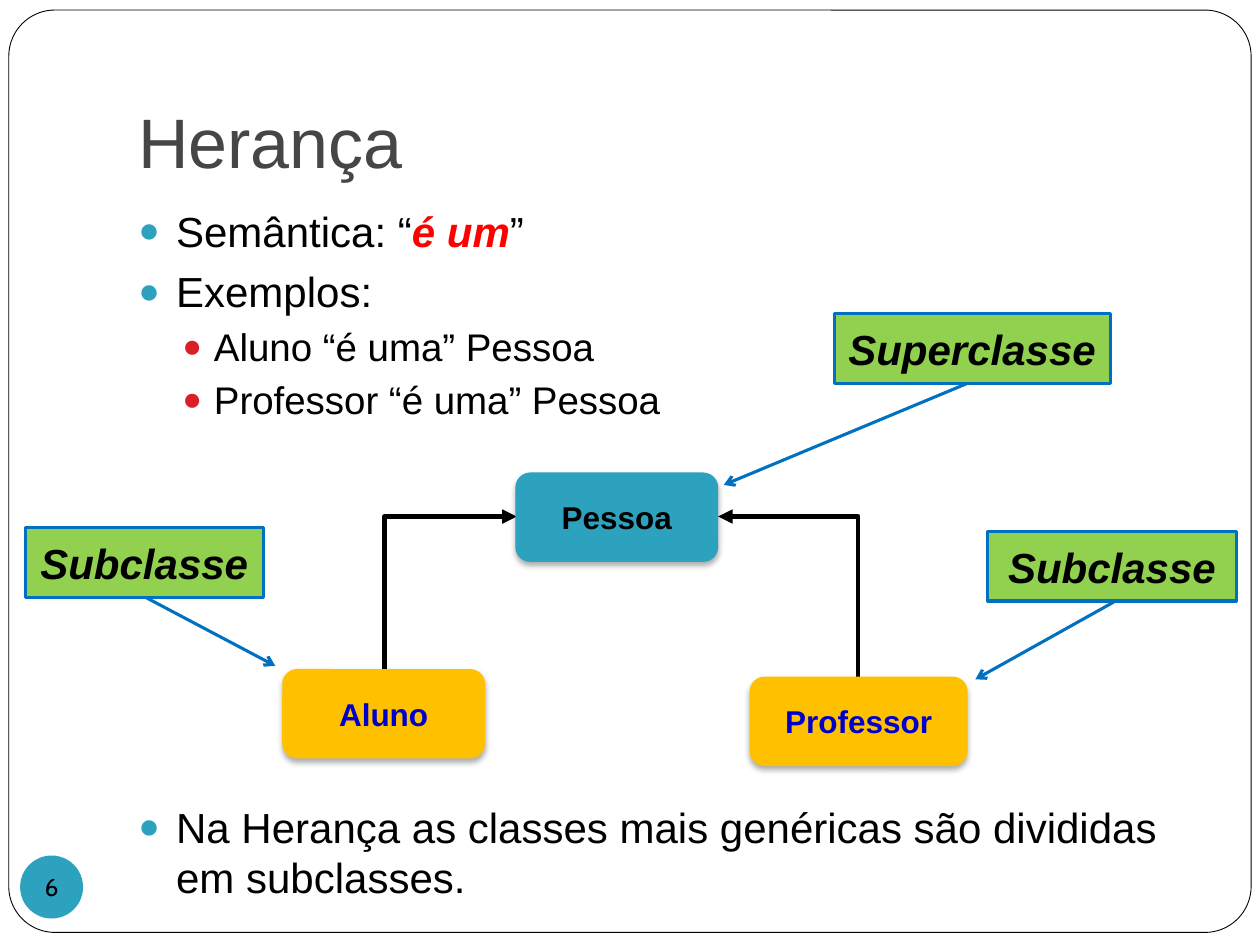
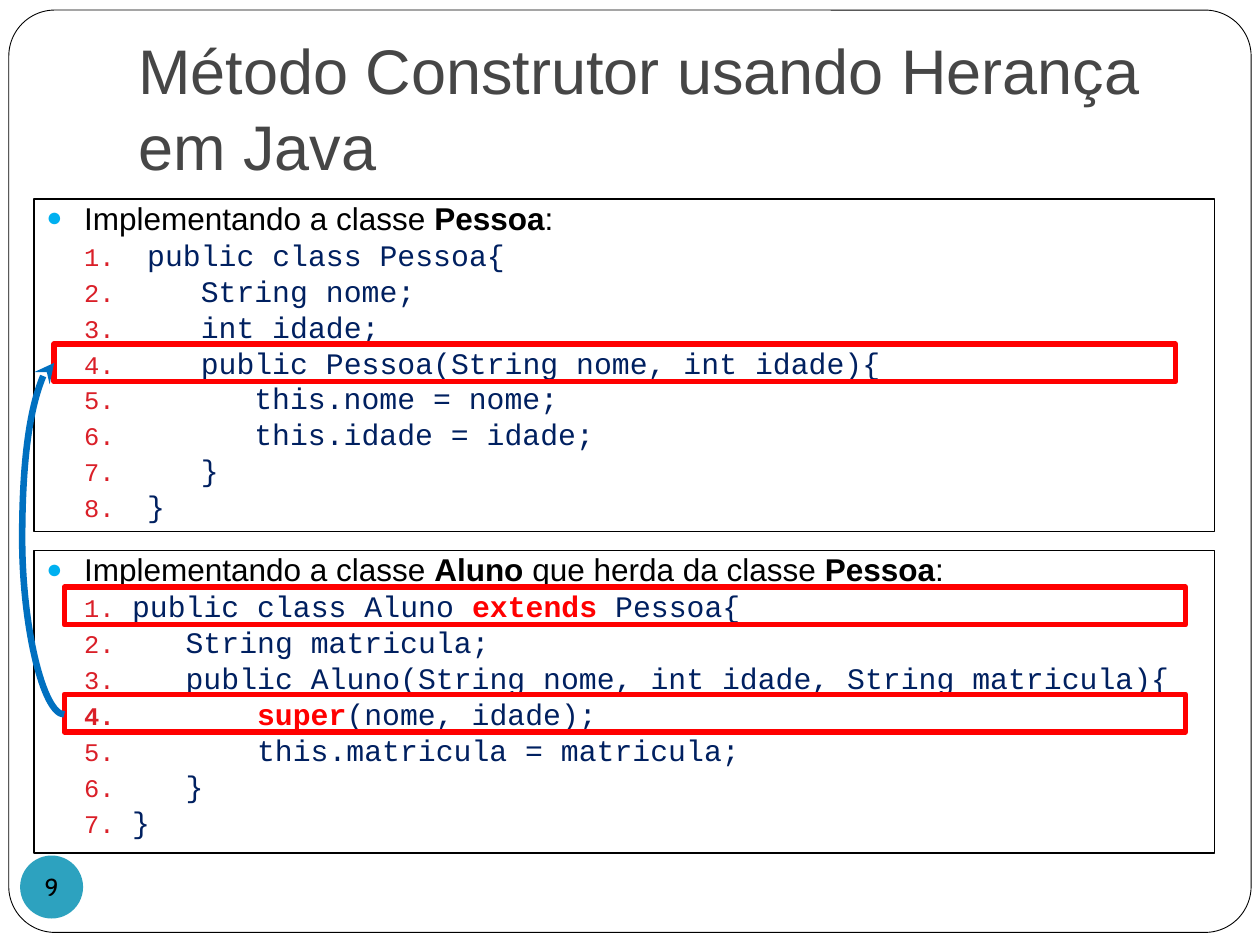
"""Builds two slides on class inheritance in Java."""
from lxml.etree import SubElement as Sub
from pptx import Presentation
from pptx.dml.color import RGBColor as Rgb
from pptx.enum.shapes import MSO_CONNECTOR as Link, MSO_SHAPE as Kind
from pptx.enum.text import MSO_ANCHOR as Anchor, PP_ALIGN as Align
from pptx.oxml.ns import qn
from pptx.util import Inches, Pt

BLACK = Rgb(0, 0, 0)
WHITE = Rgb(255, 255, 255)
GRAY = Rgb(0x46, 0x46, 0x46)
TEAL = Rgb(0x2D, 0xA2, 0xBF)
CRIMSON = Rgb(0xDA, 0x1F, 0x28)
RED = Rgb(255, 0, 0)
SKY = Rgb(0, 0xB0, 0xF0)
BLUE = Rgb(0, 0x70, 0xC0)
NAVY = Rgb(0, 0x20, 0x60)
INDIGO = Rgb(0, 0, 0xCC)
GOLD = Rgb(0xFF, 0xC0, 0)
GREEN = Rgb(0x92, 0xD0, 0x50)

BOLD = dict(bold=True)
HOT = dict(bold=True, color=RED)
ITEM = dict(left=0.3, hang=0.3, before=5.8, mark="●", tint=TEAL, size=24)
SUB = dict(ITEM, left=0.6, hang=0.25, before=3.8, tint=CRIMSON, size=22, level=1)
HEAD = dict(ITEM, tint=SKY, size=18, line=0.82)
CODE = dict(before=3.8, tint=CRIMSON, size=17, line=0.82, level=1,
            font="Courier New", color=NAVY)
CHAR = 0.6 * 17 / 72

POINTS = [
    (["Semântica: “", ("é um", dict(HOT, italic=True)), "”"], ITEM),
    (["Exemplos:"], ITEM),
    (["Aluno “é uma” Pessoa"], SUB),
    (["Professor “é uma” Pessoa"], SUB),
]
CLOSING = [(["Na Herança as classes mais genéricas são divididas em subclasses."], ITEM)]
CLASSES = [
    ("Aluno", (2.24, 5.31, 1.61, 0.71), GOLD, INDIGO),
    ("Professor", (5.95, 5.37, 1.73, 0.71), GOLD, INDIGO),
    ("Pessoa", (4.09, 3.75, 1.61, 0.71), TEAL, BLACK),
]
BENDS = [
    ((2.97, 4.18, 1.21, 1.05), 90, True),
    ((5.62, 4.18, 1.27, 1.11), 270, False),
]
LABELS = [
    ("Superclasse", (6.62, 2.49, 2.19, 0.55), (1.01, 0.48, 2.47, -0.4)),
    ("Subclasse", (7.84, 4.22, 1.97, 0.55), (1.01, 0.51, 2.13, -0.05)),
    ("Subclasse", (0.2, 4.19, 1.89, 0.55), (1.01, 0.51, 1.99, 1.05)),
]
LISTINGS = [
    ((0.27, 1.58, 9.37, 2.64), 0.5,
     ["Implementando a classe ", ("Pessoa", BOLD), ":"],
     [(0, ["public class Pessoa{"]),
      (3, ["String nome;"]),
      (3, ["int idade;"]),
      (3, ["public Pessoa(String nome, int idade){"]),
      (6, ["this.nome = nome;"]),
      (6, ["this.idade = idade;"]),
      (3, ["}"]),
      (0, ["}"])]),
    ((0.27, 4.37, 9.37, 2.4), 0.38,
     ["Implementando a classe ", ("Aluno", BOLD), " que herda da classe ",
      ("Pessoa", BOLD), ":"],
     [(0, ["public class Aluno ", ("extends ", HOT), "Pessoa{"]),
      (3, ["String matricula;"]),
      (3, ["public Aluno(String nome, int idade, String matricula){"]),
      (7, [("super", HOT), "(nome, idade);"]),
      (7, ["this.matricula = matricula;"]),
      (3, ["}"]),
      (0, ["}"])]),
]
FRAMES = [(0.51, 5.51), (0.43, 2.73), (0.51, 4.66)]


def style(para, left=0, hang=0, before=0, line=None, level=0, mark=None, tint=None):
    """Set indents, spacing and bullet of a paragraph."""
    para.level = level
    para.space_before = Pt(before)
    if line:
        para.line_spacing = line
    props = para._p.get_or_add_pPr()
    props.set("marL", str(Inches(left)))
    props.set("indent", str(Inches(-hang)))
    if tint is None:
        return
    Sub(Sub(props, qn("a:buClr")), qn("a:srgbClr"), val=str(tint))
    Sub(props, qn("a:buSzPct"), val="85000")
    if mark:
        Sub(props, qn("a:buFont"), typeface="Arial")
        Sub(props, qn("a:buChar"), char=mark)
    else:
        Sub(props, qn("a:buAutoNum"), type="arabicPeriod")


def write(shape, paras, align=Align.LEFT, anchor=Anchor.TOP, wrap=True,
          inset=(0.1, 0.05, 0.1, 0.05), **base):
    """Fill a shape with a string or with (runs, format) paragraphs."""
    frame = shape.text_frame
    frame.word_wrap, frame.vertical_anchor = wrap, anchor
    (frame.margin_left, frame.margin_top,
     frame.margin_right, frame.margin_bottom) = map(Inches, inset)
    if isinstance(paras, str):
        paras = [([paras], {})]
    for n, (runs, fmt) in enumerate(paras):
        para = frame.paragraphs[0] if n == 0 else frame.add_paragraph()
        para.alignment = align
        look = dict(dict(font="Arial", color=BLACK, size=18), **base)
        look.update((k, v) for k, v in fmt.items() if k in look)
        style(para, **{k: v for k, v in fmt.items() if k not in look})
        for part in runs:
            text, extra = (part, {}) if isinstance(part, str) else part
            own = dict(look, **extra)
            run = para.add_run()
            run.text = text
            font = run.font
            font.name, font.size = own["font"], Pt(own["size"])
            font.color.rgb = own["color"]
            font.bold, font.italic = own.get("bold", False), own.get("italic", False)


def draw(slide, kind, at, fill=None, line=None, width=1, adj=()):
    """Add a preset shape."""
    shape = slide.shapes.add_shape(kind, *map(Inches, at))
    shape.shadow.inherit = False
    if fill is None:
        shape.fill.background()
    else:
        shape.fill.solid()
        shape.fill.fore_color.rgb = fill
    if line is None:
        shape.line.fill.background()
    else:
        shape.line.color.rgb = line
        shape.line.width = Pt(width)
    for n, value in enumerate(adj):
        shape.adjustments[n] = value
    return shape


def tip(shape, kind):
    """Put an arrowhead at the end of a line."""
    Sub(shape.line._get_or_add_ln(), qn("a:tailEnd"), type=kind)


def shade(shape):
    """Drop a soft shadow below a shape."""
    effects = shape._element.spPr.find(qn("a:effectLst"))
    outer = Sub(effects, qn("a:outerShdw"), blurRad=str(Pt(3.5)), dist=str(Pt(2.2)),
                dir="5400000", rotWithShape="0")
    Sub(Sub(outer, qn("a:srgbClr"), val="000000"), qn("a:alpha"), val="32000")


def join(slide, preset, at, turn, color, width, head, flip=(False, False), adj=None):
    """Add a turned bent or curved arrow."""
    x, y, w, h = at
    xs, ys = [x, x + w], [y, y + h]
    if flip[0]:
        xs.reverse()
    if flip[1]:
        ys.reverse()
    line = slide.shapes.add_connector(
        Link.ELBOW, *map(Inches, (xs[0], ys[0], xs[1], ys[1])))
    line.line.color.rgb = color
    line.line.width = Pt(width)
    tip(line, head)
    props = line._element.spPr
    props.find(qn("a:xfrm")).set("rot", str(turn * 60000))
    shape = props.find(qn("a:prstGeom"))
    shape.set("prst", preset)
    if adj is not None:
        Sub(shape.find(qn("a:avLst")), qn("a:gd"), name="adj1",
            fmla=f"val {round(adj * 100000)}")
    Sub(props, qn("a:effectLst"))


def note(slide, at, paras, **fmt):
    """Add a text box."""
    write(slide.shapes.add_textbox(*map(Inches, at)), paras, **fmt)


def start(deck, title, size, number):
    """Add a slide with frame, title and page number."""
    slide = deck.slides.add_slide(deck.slide_layouts[6])
    draw(slide, Kind.ROUNDED_RECTANGLE, (0.07, 0.08, 9.86, 7.32), WHITE, BLACK, 0.5, [0.05])
    note(slide, (1, 0.3, 8.5, 1.25), title, size=size, color=GRAY,
         anchor=Anchor.BOTTOM, inset=(0.1, 0.05, 0.1, 0.1))
    disc = draw(slide, Kind.OVAL, (0.16, 6.79, 0.5, 0.5), TEAL)
    write(disc, number, size=14, font="Cabin", align=Align.CENTER,
          anchor=Anchor.MIDDLE, wrap=False, inset=(0, 0, 0, 0))
    return slide


def tree(deck):
    """Build the slide with the class tree."""
    slide = start(deck, "Herança", 40, "6")
    note(slide, (1, 1.58, 8.8, 2), POINTS)
    note(slide, (1, 6.31, 8.8, 0.9), CLOSING)
    for at, turn, across in BENDS:
        join(slide, "bentConnector2", at, turn, BLACK, 2.75, "triangle", (across, True))
    for name, at, fill, color in CLASSES:
        box = draw(slide, Kind.ROUNDED_RECTANGLE, at, fill)
        shade(box)
        write(box, name, color=color, bold=True, align=Align.CENTER, anchor=Anchor.MIDDLE)
    for name, at, adj in LABELS:
        label = draw(slide, Kind.LINE_CALLOUT_1, at, GREEN, BLUE, 1.75, adj)
        tip(label, "arrow")
        write(label, name, size=24, bold=True, italic=True, wrap=False,
              align=Align.CENTER, anchor=Anchor.MIDDLE)


def code(deck):
    """Build the slide with the two listings."""
    slide = start(deck, "Método Construtor usando Herança em Java", 36, "9")
    for at, hang, head, lines in LISTINGS:
        paras = [(head, HEAD)]
        for depth, runs in lines:
            gap = hang + depth * CHAR
            paras.append((runs, dict(CODE, left=0.3 + gap, hang=gap)))
        write(draw(slide, Kind.RECTANGLE, at, line=BLACK, width=0.75), paras)
    for x, y in FRAMES:
        draw(slide, Kind.RECTANGLE, (x, y, 8.9, 0.3), line=RED, width=3)
    join(slide, "curvedConnector3", (0.43, 2.88, 0.08, 2.79), 180, BLUE, 3.75,
         "stealth", adj=4.18)


def main():
    """Build and save the deck."""
    deck = Presentation()
    deck.slide_width, deck.slide_height = Inches(10), Inches(7.5)
    tree(deck)
    code(deck)
    deck.save("out.pptx")


if __name__ == "__main__":
    main()
